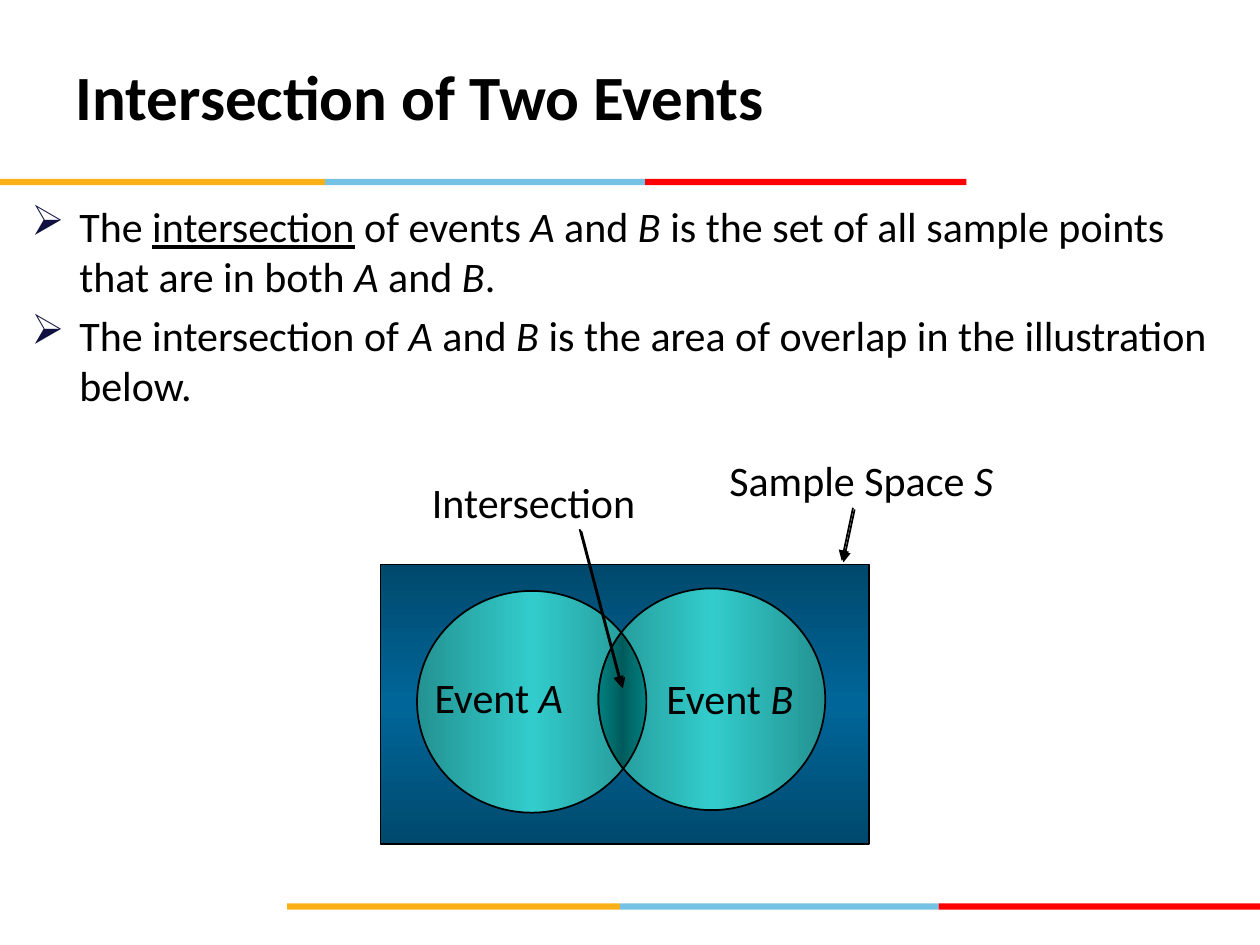
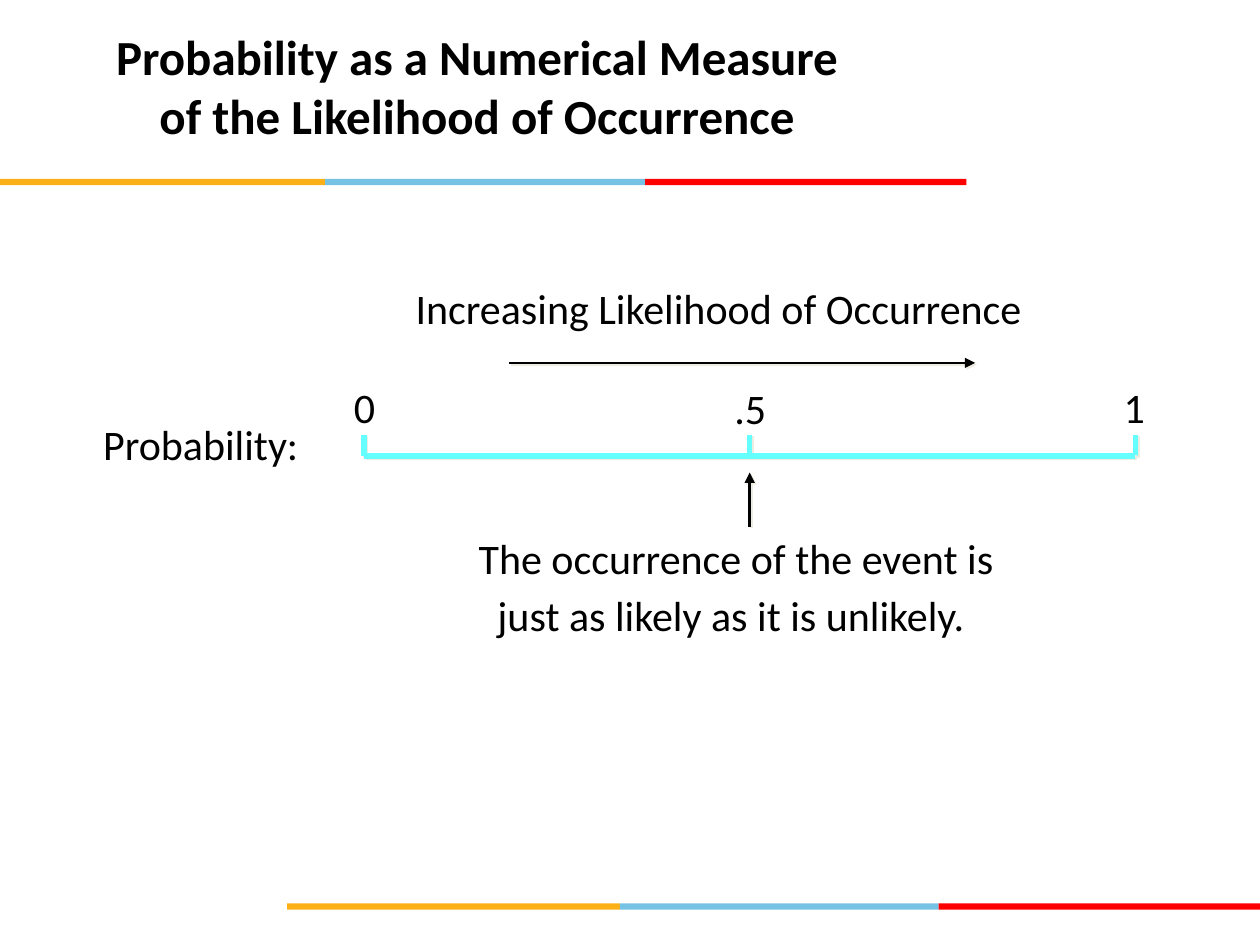
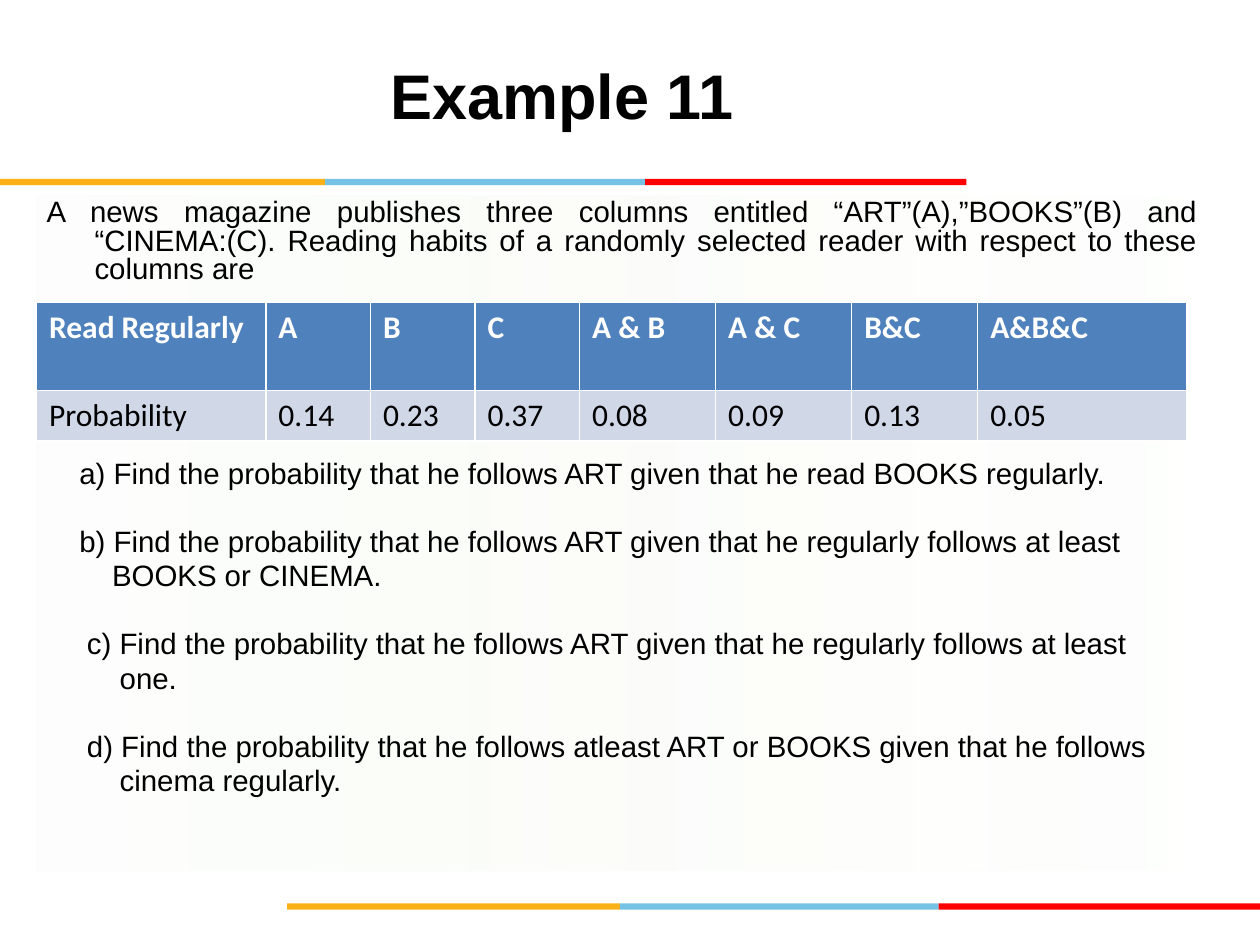
from math import cos, radians, sin

from lxml.etree import SubElement
from pptx import Presentation
from pptx.dml.color import RGBColor
from pptx.enum.shapes import MSO_CONNECTOR, MSO_SHAPE
from pptx.enum.text import MSO_ANCHOR, MSO_AUTO_SIZE, PP_ALIGN
from pptx.oxml.ns import qn
from pptx.util import Inches, Pt

rgb = RGBColor.from_string
BLACK, WHITE, CYAN, SHADE = "000000", "FFFFFF", "66FFFF", "EEECE1"
BAND_COLOURS = ["FCB017", "76C2E5", "FF0000"]
BANDS = [(1.42, [0, 2.58, 5.12, 7.67]), (7.17, [2.28, 4.92, 7.45, 10])]
BAND_HEIGHT = 0.05


def write(slide, at, paragraphs, font="Calibri", size=24, inset=(0.1, 0.05)):
    """Add a text box; words between asterisks are italic."""
    frame = slide.shapes.add_textbox(*map(Inches, at)).text_frame
    frame.word_wrap = True
    frame.margin_left = frame.margin_right = Inches(inset[0])
    frame.margin_top = frame.margin_bottom = Inches(inset[1])
    for number, words in enumerate(paragraphs):
        paragraph = frame.add_paragraph() if number else frame.paragraphs[0]
        paragraph.font.name, paragraph.font.size = font, Pt(size)
        paragraph.font.color.rgb = rgb(BLACK)
        for part, piece in enumerate(words.split("*")):
            run = paragraph.add_run()
            run.text = piece
            if part % 2:
                run.font.italic = True
    return frame.paragraphs


def draw_line(slide, start, end, colour, width, shadow, arrow=False):
    """Add a straight line with a small offset shadow."""
    line = slide.shapes.add_connector(MSO_CONNECTOR.STRAIGHT, *map(Inches, start + end))
    line.line.color.rgb = rgb(colour)
    line.line.width = Pt(width)
    properties = line._element.spPr
    if arrow:
        SubElement(properties.find(qn("a:ln")), qn("a:tailEnd"), type="triangle")
    effects = SubElement(properties, qn("a:effectLst"))
    cast = SubElement(effects, qn("a:outerShdw"), dist=str(Pt(1.4)), dir="2700000")
    SubElement(cast, qn("a:srgbClr"), val=shadow)


deck = Presentation()
deck.slide_width, deck.slide_height = Inches(10), Inches(7.5)

# Shared parts: colour bands and titles
titles = [
    ("Intersection of Two Events", (0.5, 0.3, 5.75, 0.92), "Calibri", 36, PP_ALIGN.LEFT),
    ("Probability as a Numerical Measure\vof the Likelihood of Occurrence",
     (0.07, 0.03, 7.43, 1.3), "Calibri", 28, PP_ALIGN.CENTER),
    ("Example 11", (1.42, 0.33, 6.08, 0.83), "Arial", 36, PP_ALIGN.CENTER),
]
for words, at, font, size, alignment in titles:
    slide = deck.slides.add_slide(deck.slide_layouts[5])
    for top, edges in BANDS:
        for left, right, colour in zip(edges, edges[1:], BAND_COLOURS):
            band = slide.shapes.add_shape(
                MSO_SHAPE.RECTANGLE, *map(Inches, (left, top, right - left, BAND_HEIGHT)))
            band.shadow.inherit = False
            band.fill.solid()
            band.fill.fore_color.rgb = rgb(colour)
            band.line.fill.background()
    title = slide.shapes.title
    title.left, title.top, title.width, title.height = map(Inches, at)
    frame = title.text_frame
    frame.text = words
    frame.word_wrap = True
    frame.auto_size = MSO_AUTO_SIZE.NONE
    frame.vertical_anchor = MSO_ANCHOR.MIDDLE
    heading = frame.paragraphs[0]
    heading.alignment = alignment
    heading.font.name, heading.font.size, heading.font.bold = font, Pt(size), True
    heading.font.color.rgb = rgb(BLACK)

intersection, likelihood, example = deck.slides

# Intersection: definition
definition = write(intersection, (0.17, 1.55, 9.67, 1.8), [
    "The *intersection* of events *A* and *B* is the set of all sample points "
    "that are in both* A *and *B*.",
    "The intersection of *A* and *B* is the area of overlap in the illustration below.",
], inset=(0.08, 0.04))
term = definition[0].runs[1].font
term.italic, term.underline = False, True
definition[1].space_before = Pt(4.8)
for point in definition:
    settings = point._p.get_or_add_pPr()
    settings.set("marL", str(Inches(0.38)))
    settings.set("indent", str(Inches(-0.38)))
    bullet_colour = settings.makeelement(qn("a:buClr"))
    SubElement(bullet_colour, qn("a:srgbClr"), val="101141")
    bullet = settings.makeelement(qn("a:buChar"), char="➢")
    for mark in (bullet_colour, bullet):
        settings.find(qn("a:defRPr")).addprevious(mark)

# Intersection: Venn diagram
event_stops = [(0, "249292", 100), (50, "33CCCC", 100), (100, "249292", 100)]
space_stops = [(0, "00496D", 100), (50, "006699", 100), (100, "00496D", 100)]
overlap_stops = [(0, "008080", 100), (50, "005C5C", 100), (100, "008080", 100)]
gradients = []
for preset, at, stops, angle in [
    (MSO_SHAPE.RECTANGLE, (3.02, 4.48, 3.88, 2.22), space_stops, 90),
    (MSO_SHAPE.OVAL, (3.31, 4.69, 1.82, 1.76), event_stops, 0),
    (MSO_SHAPE.OVAL, (4.75, 4.67, 1.8, 1.76), event_stops, 0),
]:
    region = intersection.shapes.add_shape(preset, *map(Inches, at))
    gradients.append((region, stops, angle))

# The overlap follows the left arc of B, then the right arc of A
arc = [radians(angle) for angle in range(-37, 38, 2)]
outline = [(5.65 - 0.9 * cos(a), 5.55 + 0.88 * sin(a)) for a in arc]
outline += [(4.22 + 0.91 * cos(a), 5.57 + 0.88 * sin(a)) for a in reversed(arc)]
corners = [(Inches(x), Inches(y)) for x, y in outline]
builder = intersection.shapes.build_freeform(*corners[0])
builder.add_line_segments(corners[1:])
gradients.append((builder.convert_to_shape(), overlap_stops, 0))
for region, _, _ in gradients:
    region.line.color.rgb = rgb(BLACK)
    region.line.width = Pt(1)

for words, at in [
    ("Sample Space *S*", (5.69, 3.56, 2.48, 0.5)),
    ("Intersection", (3.33, 3.73, 1.94, 0.5)),
    ("Event *A*", (3.35, 5.28, 1.61, 0.5)),
    ("Event *B*", (5.19, 5.29, 1.34, 0.5)),
]:
    write(intersection, at, [words])
draw_line(intersection, (6.77, 4.03), (6.68, 4.45), BLACK, 1, BLACK, arrow=True)
draw_line(intersection, (4.6, 4.2), (4.93, 5.45), BLACK, 1, BLACK, arrow=True)

# Likelihood: probability scale
SCALE_LEFT, SCALE_STEP, SCALE_TOP, SCALE_BASE = 2.89, 3.06, 3.45, 3.62
for step in range(3):
    x = SCALE_LEFT + step * SCALE_STEP
    draw_line(likelihood, (x, SCALE_TOP), (x, SCALE_BASE), CYAN, 3, SHADE)
middle = SCALE_LEFT + SCALE_STEP
draw_line(likelihood, (SCALE_LEFT, SCALE_BASE), (SCALE_LEFT + 2 * SCALE_STEP, SCALE_BASE),
          CYAN, 3, SHADE)
draw_line(likelihood, (4.04, 2.88), (7.74, 2.88), BLACK, 1.5, SHADE, arrow=True)
draw_line(likelihood, (middle, 4.18), (middle, 3.75), BLACK, 1.5, SHADE, arrow=True)

for words, at in [
    ("0", (2.71, 2.98, 0.48, 0.5)),
    (".5", (5.73, 2.99, 0.49, 0.5)),
    ("1", (8.82, 2.98, 0.48, 0.5)),
    ("Increasing Likelihood of Occurrence", (3.2, 2.19, 5.56, 0.5)),
    ("Probability:", (0.72, 3.27, 1.95, 0.5)),
]:
    write(likelihood, at, [words])
meaning = write(likelihood, (3.7, 4.29, 4.87, 0.86), [
    "The occurrence of the event is", "just as likely as it is unlikely."])
for sentence in meaning:
    sentence.line_spacing = 0.7
meaning[1].space_before = Pt(12)
meaning[1]._p.get_or_add_pPr().set("marL", str(Inches(0.15)))

# Example: tinted panel and introduction
panel = example.shapes.add_shape(
    MSO_SHAPE.RECTANGLE, *map(Inches, (0.29, 1.55, 9.29, 5.37)))
panel.line.fill.background()
gradients.append((panel, [(0, "FAF9FB", 36), (35, "F6F9F0", 39), (100, "FFFFFF", 54)], 0))
introduction = write(example, (0.29, 1.55, 9.29, 0.8), [
    "A news magazine publishes three columns entitled “ART”(A),”BOOKS”(B) and "
    "“CINEMA:(C). Reading habits of a randomly selected reader with respect to "
    "these columns are"], "Arial", 16.8, (0.08, 0.04))[0]
introduction.alignment = PP_ALIGN.JUSTIFY
introduction.line_spacing = Pt(16.3)
settings = introduction._p.get_or_add_pPr()
settings.set("marL", str(Inches(0.38)))
settings.set("indent", str(Inches(-0.38)))

# Example: reading habits
habits = [
    ["Read Regularly", "A", "B", "C", "A & B", "A & C", "B&C", "A&B&C"],
    ["Probability", "0.14", "0.23", "0.37", "0.08", "0.09", "0.13", "0.05"],
]
table = example.shapes.add_table(
    2, 8, *map(Inches, (0.29, 2.4, 9.12, 1.1))).table
for column, width in zip(table.columns, [1.82, 0.83, 0.83, 0.83, 1.08, 1.08, 1, 1.66]):
    column.width = Inches(width)
row_styles = [(0.7, "4F81BD", WHITE, True), (0.4, "D0D8E8", BLACK, False)]
for row, values, (height, fill, ink, bold) in zip(table.rows, habits, row_styles):
    row.height = Inches(height)
    for cell, value in zip(row.cells, values):
        cell.text = value
        cell.fill.solid()
        cell.fill.fore_color.rgb = rgb(fill)
        font = cell.text_frame.paragraphs[0].font
        font.name, font.size, font.bold = "Calibri", Pt(18), bold
        font.color.rgb = rgb(ink)

# Example: questions, the last two set slightly further in
questions = write(example, (0.63, 3.62, 8.65, 2.8), [
    "a) Find the probability that he follows ART given that he read BOOKS regularly.",
    "b) Find the probability that he follows ART given that he regularly follows "
    "at least BOOKS or CINEMA.",
    "c) Find the probability that he follows ART given that he regularly follows "
    "at least one.",
    "d) Find the probability that he follows atleast ART or BOOKS given that he "
    "follows cinema regularly.",
], "Arial", 16.8, (0, 0))
for number, question in enumerate(questions):
    question.line_spacing = Pt(19.5)
    question.space_before = Pt(19.5 if number else 0)
    settings = question._p.get_or_add_pPr()
    settings.set("marL", str(Inches(0.26 if number < 2 else 0.32)))
    settings.set("indent", str(Inches(-0.26)))

# Gradient fills
for region, stops, angle in gradients:
    region.shadow.inherit = False
    region.fill.gradient()
    region.fill.gradient_angle = angle
    stop_list = region._element.spPr.find(qn("a:gradFill")).find(qn("a:gsLst"))
    for stop in list(stop_list):
        stop_list.remove(stop)
    for position, colour, opacity in stops:
        stop = SubElement(stop_list, qn("a:gs"), pos=str(position * 1000))
        tint = SubElement(stop, qn("a:srgbClr"), val=colour)
        if opacity < 100:
            SubElement(tint, qn("a:alpha"), val=str(opacity * 1000))

deck.save("out.pptx")
